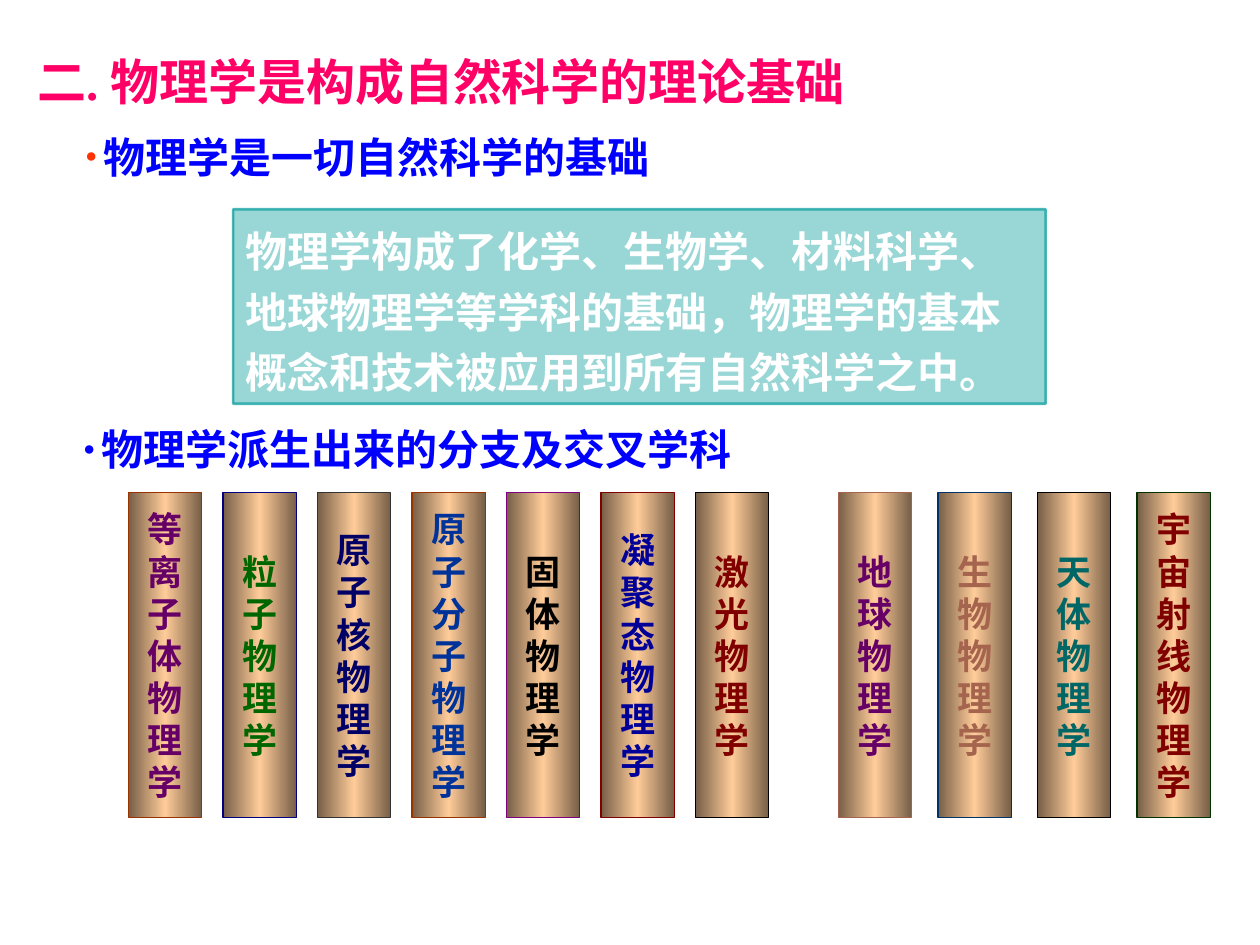
from copy import deepcopy
from pptx import Presentation
from pptx import util as u
from pptx.dml.color import RGBColor
from pptx.enum import shapes, text
from pptx.oxml import ns
from pptx.oxml.xmlchemy import OxmlElement

INK = {
    "title": "FF0066", "blue": "0000FF", "dot": "FF3300", "white": "FFFFFF",
    "teal": "009999", "edge": "765E47", "glow": "FFCC99", "black": "000000",
    "plum": "660066", "green": "006600", "navy": "000066", "azure": "003399",
    "royal": "000099", "wine": "800000", "clay": "A5644E", "sea": "006666",
    "rust": "993300", "deep": "000080", "gray": "333333", "purple": "800080",
    "steel": "003366", "pine": "003300",
}
LATIN, HAN = "Times New Roman", "Noto Sans CJK SC"

# name, text colour, outline colour
BRANCHES = [
    ("等离子体物理学", "plum", "rust"),
    ("粒子物理学", "green", "deep"),
    ("原子核物理学", "navy", "gray"),
    ("原子分子物理学", "azure", "rust"),
    ("固体物理学", "black", "purple"),
    ("凝聚态物理学", "royal", "wine"),
    ("激光物理学", "wine", "black"),
]
CROSSES = [
    ("地球物理学", "plum", "clay"),
    ("生物物理学", "clay", "steel"),
    ("天体物理学", "sea", "black"),
    ("宇宙射线物理学", "wine", "pine"),
]


def rgb(name):
    return RGBColor.from_string(INK[name])


def node(parent, tag, **attrs):
    child = OxmlElement(tag)
    for key, val in attrs.items():
        child.set(key, str(val))
    parent.append(child)
    return child


def fade(fill, percent):
    """Make a solid fill partly transparent."""
    color = fill._xPr.find(ns.qn("a:solidFill"))[0]
    node(color, "a:alpha", val=percent * 1000)


def write(shape, lines, size=24, color="blue", font=HAN, align="LEFT",
          space=None, bullet=None, wrap=True, grow=True):
    """Fill a shape with text, one paragraph for each line."""
    frame = shape.text_frame
    frame.word_wrap = wrap
    frame.auto_size = (text.MSO_AUTO_SIZE.SHAPE_TO_FIT_TEXT if grow
                       else text.MSO_AUTO_SIZE.NONE)
    for i, line in enumerate(lines):
        para = frame.paragraphs[0] if i == 0 else frame.add_paragraph()
        para.alignment = text.PP_ALIGN[align]
        if space:
            para.line_spacing = space
        parts = [(line, size, font)]
        if bullet:
            props = para._p.get_or_add_pPr()
            node(node(props, "a:buClr"), "a:srgbClr", val=INK[bullet])
            node(props, "a:buSzPct", val=70000)
            node(props, "a:buFont", typeface=LATIN)
            node(props, "a:buChar", char="●")
            # A small leading space sets the size of the bullet
            parts.insert(0, (" ", 16, LATIN))
        for words, points, face in parts:
            run = para.add_run()
            run.text = words
            run.font.size = u.Pt(points)
            run.font.bold = True
            run.font.name = face
            run.font.color.rgb = rgb(color)
            node(run._r.get_or_add_rPr(), "a:ea", typeface=HAN)


def label(slide, box, words, **style):
    area = slide.shapes.add_textbox(*map(u.Cm, box))
    write(area, [words], **style)


def block(slide, box, line, width):
    """Add a plain rectangle with an outline."""
    rect = slide.shapes.add_shape(shapes.MSO_SHAPE.RECTANGLE, *map(u.Cm, box))
    rect.shadow.inherit = False
    rect.line.color.rgb = rgb(line)
    rect.line.width = u.Pt(width)
    return rect


def panel(slide, box, words):
    rect = block(slide, box, "teal", 1.5)
    rect.fill.solid()
    rect.fill.fore_color.rgb = rgb("teal")
    fade(rect.fill, 40)
    fade(rect.line.fill, 70)
    rect.text_frame.vertical_anchor = text.MSO_ANCHOR.TOP
    write(rect, [words], color="white", space=1.2)


def pillar(slide, box, name, color, line):
    rect = block(slide, box, line, 0.75)
    rect.fill.gradient()
    rect.fill.gradient_angle = 0
    stops = rect._element.spPr.find(".//" + ns.qn("a:gsLst"))
    stops.append(deepcopy(stops[0]))
    tones = [(0, "edge"), (0.5, "glow"), (1, "edge")]
    for stop, (place, tone) in zip(rect.fill.gradient_stops, tones):
        stop.position = place
        stop.color.rgb = rgb(tone)
    rect.text_frame.vertical_anchor = text.MSO_ANCHOR.MIDDLE
    write(rect, name, size=20, color=color, font=LATIN, align="CENTER",
          wrap=False, grow=False)


def row(slide, box, items):
    """Spread pillars evenly over the box, flush with both ends."""
    left, top, width, height = box
    thick = 1.48
    step = (width - thick) / (len(items) - 1)
    for i, item in enumerate(items):
        pillar(slide, (left + i * step, top, thick, height), *item)


def main():
    deck = Presentation()
    deck.slide_width, deck.slide_height = u.Cm(25.4), u.Cm(19.05)
    slide = deck.slides.add_slide(deck.slide_layouts[6])

    # Heading and first point
    label(slide, (0.5, 0.92, 21.6, 1.45), "二. 物理学是构成自然科学的理论基础",
          size=28, color="title", font=LATIN)
    label(slide, (1.47, 2.52, 14.4, 1.28), "物理学是一切自然科学的基础",
          bullet="dot")
    panel(slide, (4.7, 4.22, 16.38, 3.92),
          "物理学构成了化学、生物学、材料科学、地球物理学等学科的基础，"
          "物理学的基本概念和技术被应用到所有自然科学之中。")

    # Second point with its two groups of subjects
    label(slide, (1.43, 8.42, 15.8, 1.28), "物理学派生出来的分支及交叉学科",
          bullet="blue")
    row(slide, (2.59, 9.93, 12.91, 6.55), BRANCHES)
    row(slide, (16.9, 9.93, 7.5, 6.55), CROSSES)

    deck.save("out.pptx")


if __name__ == "__main__":
    main()
